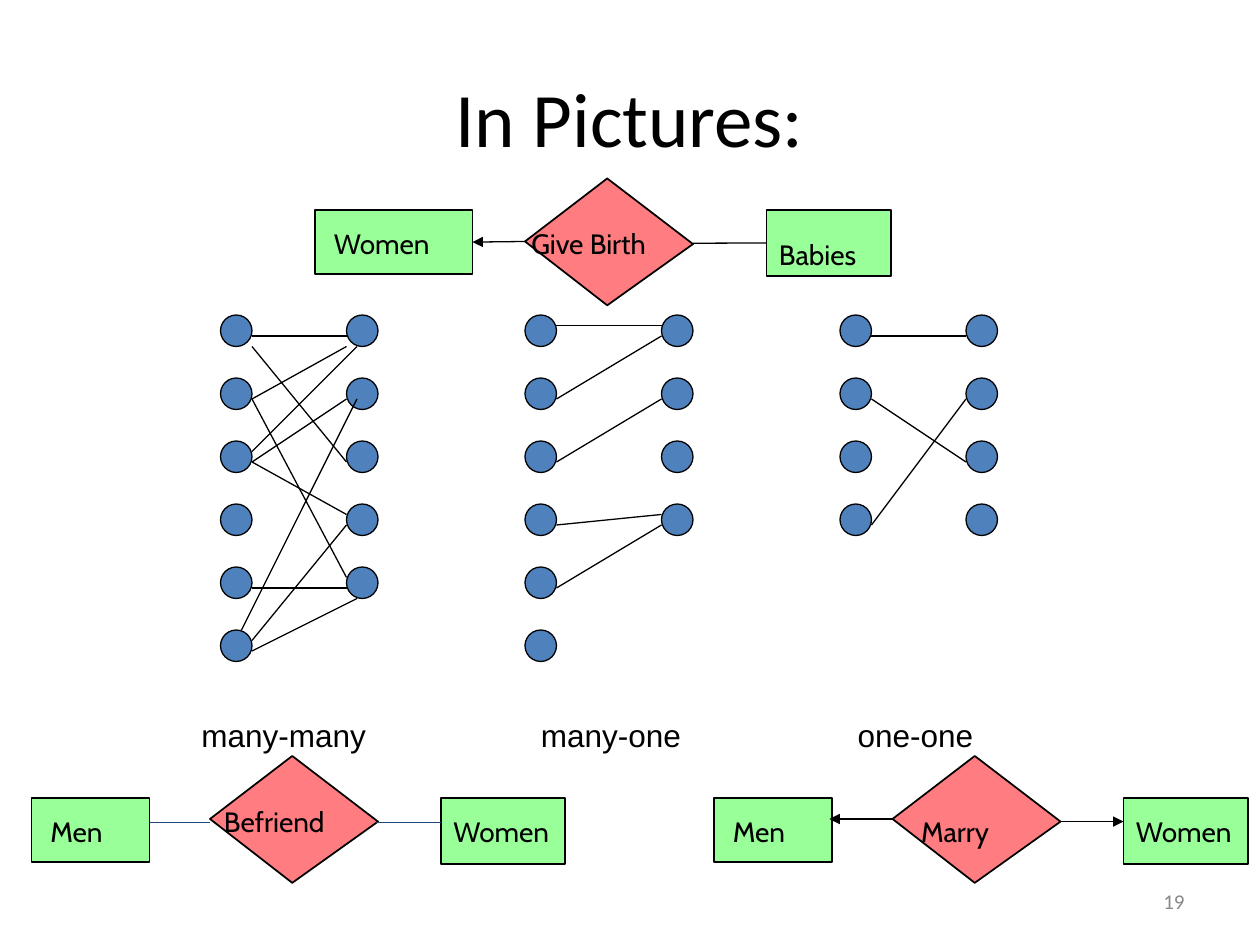
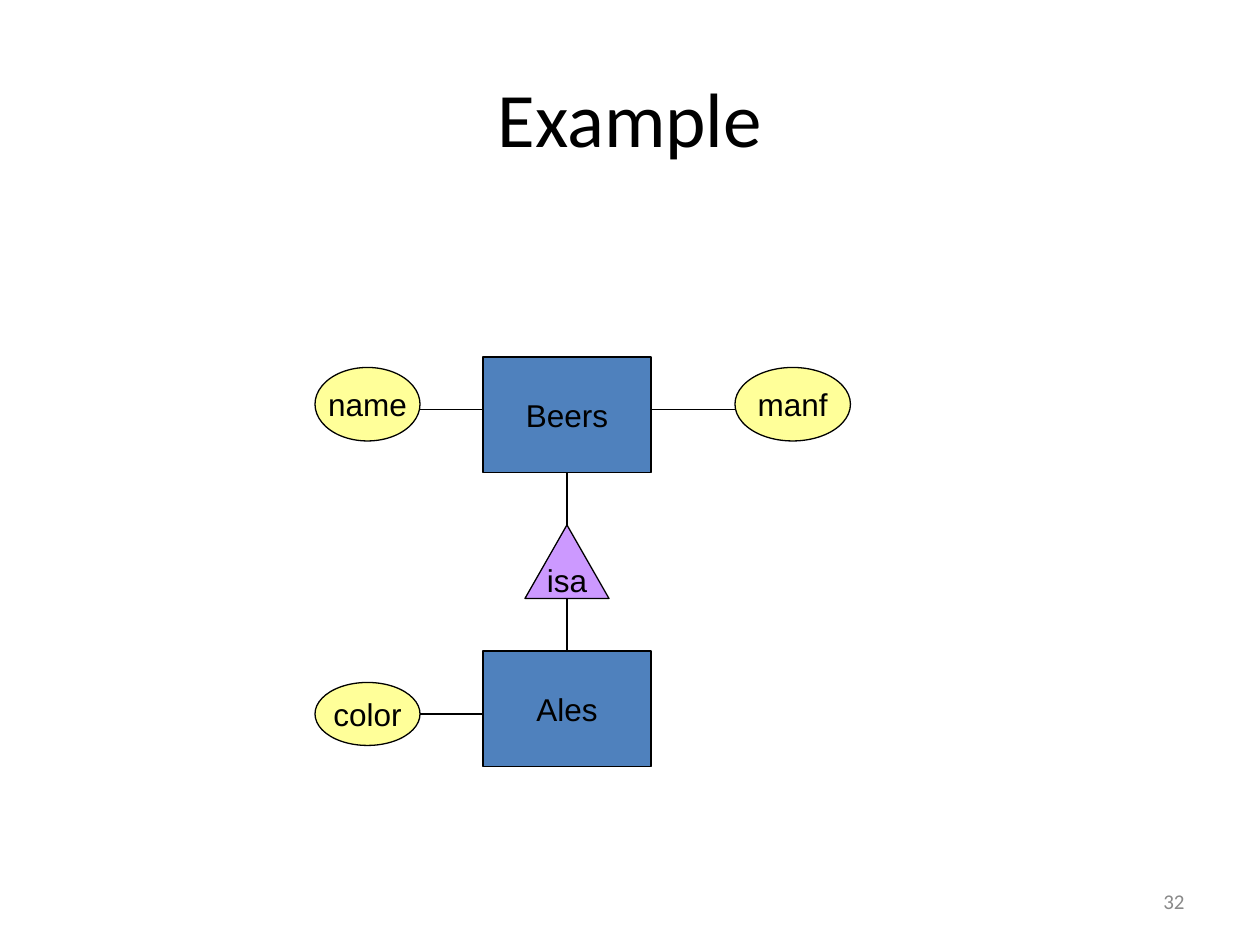
from pptx import Presentation
from pptx.dml.color import RGBColor
from pptx.enum.shapes import MSO_CONNECTOR, MSO_SHAPE as Kind
from pptx.enum.text import MSO_ANCHOR as Anchor, PP_ALIGN as Align
from pptx.oxml.ns import qn
from pptx.util import Pt
from lxml.etree import SubElement

BLACK = RGBColor(0x00, 0x00, 0x00)
GREY = RGBColor(0x89, 0x89, 0x89)
BLUE = RGBColor(0x4F, 0x81, 0xBD)
NAVY = RGBColor(0x1F, 0x49, 0x7D)
GREEN = RGBColor(0x99, 0xFF, 0x99)
RED = RGBColor(0xFF, 0x7C, 0x80)
YELLOW = RGBColor(0xFF, 0xFF, 0x99)
PURPLE = RGBColor(0xCC, 0x99, 0xFF)
INSETS = (7.2, 3.6, 7.2, 3.6)

# Dots: one column per (left, count)
DOT, DOT_TOP, DOT_STEP = 18, 180, 36
COLUMNS = [(126, 6), (198, 5), (300, 6), (378, 4), (480, 4), (552, 4)]
PAIRS = [  # (x1, y1, x2, y2)
    (144, 198, 198, 264), (144, 192, 198, 192), (144, 228, 198, 198),
    (144, 258, 204, 198), (144, 228, 198, 330), (144, 336, 198, 336),
    (144, 372, 204, 342), (144, 264, 198, 228), (138, 360, 204, 228),
    (144, 366, 198, 300), (198, 294, 144, 264),
    (318, 186, 378, 186), (318, 228, 378, 192), (318, 264, 378, 228),
    (318, 336, 378, 300), (318, 300, 378, 294),
    (498, 192, 552, 192), (498, 228, 552, 264), (498, 300, 552, 228),
]
CAPTIONS = ["many-many", "many-one", "one-one"]
CAPTION_TABS = [194, 375]

# Relationships: text, left, top, text inset left and top
DIAMOND = [(0, 36), (47, 0), (96, 37.5), (47, 72.5)]
RELATIONS = [
    ("Give Birth", 300, 102, 3.6, 27.6),
    ("Befriend", 120, 432, 8, 27.6),
    ("Marry", 510, 432, 16.3, 33.6),
]
# Entities: text, left, top, width, height, text inset left and top
ENTITIES = [
    ("Women", 180, 120, 90, 36.7, 10.8, 9.6),
    ("Babies", 438, 120, 71, 37.7, 7.2, 15.6),
    ("Men", 18, 456, 67.5, 36.7, 10.8, 9.6),
    ("Women", 252, 456, 71, 37.7, 7.2, 9.6),
    ("Men", 408, 456, 67.5, 36.7, 10.8, 9.6),
    ("Women", 642, 456, 71, 37.7, 7.2, 9.6),
]
ROLES = [  # ends, colour, width, arrow
    ((396, 139, 438, 139), BLACK, 0.75, False),
    ((300, 138, 270, 138), BLACK, 0.75, True),
    ((120, 470, 85.5, 470), NAVY, 1, False),
    ((215, 470, 252, 470), NAVY, 1, False),
    ((606, 469.5, 642, 469.5), BLACK, 0.75, True),
    ((510, 468, 474, 468), BLACK, 0.75, True),
]

# Subclass diagram: kind, text, fill, left, top, width, height
PARTS = [
    (Kind.RECTANGLE, "Beers", BLUE, 276, 204, 96, 66),
    (Kind.RECTANGLE, "Ales", BLUE, 276, 372, 96, 66),
    (Kind.ISOSCELES_TRIANGLE, "isa", PURPLE, 300, 300, 48, 42),
    (Kind.OVAL, "name", YELLOW, 180, 210, 60, 42),
    (Kind.OVAL, "manf", YELLOW, 420, 210, 66, 42),
    (Kind.OVAL, "color", YELLOW, 180, 390, 60, 36),
]
TIES = [
    (240, 234, 276, 234), (420, 234, 372, 234), (324, 300, 324, 270),
    (324, 342, 324, 372), (240, 408, 276, 408),
]


def write(shape, text, size, font, color=BLACK, align=Align.LEFT,
          anchor=Anchor.TOP, insets=INSETS, wrap=True, tabs=()):
    frame = shape.text_frame
    frame.word_wrap, frame.vertical_anchor = wrap, anchor
    (frame.margin_left, frame.margin_top,
     frame.margin_right, frame.margin_bottom) = map(Pt, insets)
    para = frame.paragraphs[0]
    para.alignment = align
    if tabs:
        stops = SubElement(para._p.get_or_add_pPr(), qn("a:tabLst"))
        for pos in tabs:
            SubElement(stops, qn("a:tab"), pos=str(int(Pt(pos))), algn="l")
    run = para.add_run()
    run.text = text
    run.font.size, run.font.name = Pt(size), font
    run.font.color.rgb = color


def label(slide, place, *args, **style):
    write(slide.shapes.add_textbox(*map(Pt, place)), *args, **style)


def paint(shape, fill, width=0.75):
    shape.shadow.inherit = False
    shape.fill.solid()
    shape.fill.fore_color.rgb = fill
    shape.line.color.rgb = BLACK
    shape.line.width = Pt(width)
    return shape


def add(slide, kind, place, fill, width=0.75):
    return paint(slide.shapes.add_shape(kind, *map(Pt, place)), fill, width)


def join(slide, ends, boxes=(), color=BLACK, width=0.75, arrow=False):
    """Draw a line, attached to any box whose side centre it meets."""
    line = slide.shapes.add_connector(MSO_CONNECTOR.STRAIGHT, *map(Pt, ends))
    line.line.color.rgb = color
    line.line.width = Pt(width)
    if arrow:
        SubElement(line.line._get_or_add_ln(), qn("a:tailEnd"), type="triangle")
    SubElement(line._element.spPr, qn("a:effectLst"))
    for box in boxes:
        x, y, w, h = box.left, box.top, box.width, box.height
        sides = [(x + w / 2, y), (x, y + h / 2),
                 (x + w / 2, y + h), (x + w, y + h / 2)]
        for site, (sx, sy) in enumerate(sides):
            for end, hook in ((ends[:2], line.begin_connect),
                              (ends[2:], line.end_connect)):
                if max(abs(Pt(end[0]) - sx), abs(Pt(end[1]) - sy)) < Pt(1):
                    hook(box, site)


def start(deck, title, number):
    slide = deck.slides.add_slide(deck.slide_layouts[6])
    label(slide, (516, 500.4, 168, 28.8), number, 12, "Calibri", GREY,
          Align.RIGHT, Anchor.MIDDLE)
    label(slide, (36, 21.6, 648, 90), title, 44, "Calibri",
          align=Align.CENTER, anchor=Anchor.MIDDLE)
    return slide


def draw_ratios(deck):
    slide = start(deck, "In Pictures:", "19")
    for left, count in COLUMNS:
        for row in range(count):
            add(slide, Kind.OVAL,
                (left, DOT_TOP + row * DOT_STEP, DOT, DOT), BLUE)
    for ends in PAIRS:
        join(slide, ends)
    label(slide, (108, 405.4, 474.5, 29), "\t".join(CAPTIONS), 18, "Arial",
          tabs=CAPTION_TABS)
    for text, left, top, dx, dy in RELATIONS:
        points = [(Pt(left + x), Pt(top + y)) for x, y in DIAMOND]
        pen = slide.shapes.build_freeform(*points[0])
        pen.add_line_segments(points[1:], close=True)
        write(paint(pen.convert_to_shape(), RED, 1), text, 16, "Cabin",
              insets=(dx, dy, 0, 0))
    boxes = []
    for text, *place, dx, dy in ENTITIES:
        box = add(slide, Kind.RECTANGLE, place, GREEN, 1)
        write(box, text, 16, "Cabin", insets=(dx, dy, 0, 0))
        boxes.append(box)
    for ends, *style in ROLES:
        join(slide, ends, boxes, *style)


def draw_isa(deck):
    slide = start(deck, "Example", "32")
    boxes = []
    for kind, text, fill, *place in PARTS:
        part = add(slide, kind, place, fill)
        write(part, text, 18, "Arial", align=Align.CENTER,
              anchor=Anchor.MIDDLE, wrap=False)
        if kind == Kind.RECTANGLE:
            boxes.append(part)
    for ends in TIES:
        join(slide, ends, boxes)


def main():
    deck = Presentation()
    deck.slide_width, deck.slide_height = Pt(720), Pt(540)
    draw_ratios(deck)
    draw_isa(deck)
    deck.save("out.pptx")


if __name__ == "__main__":
    main()
